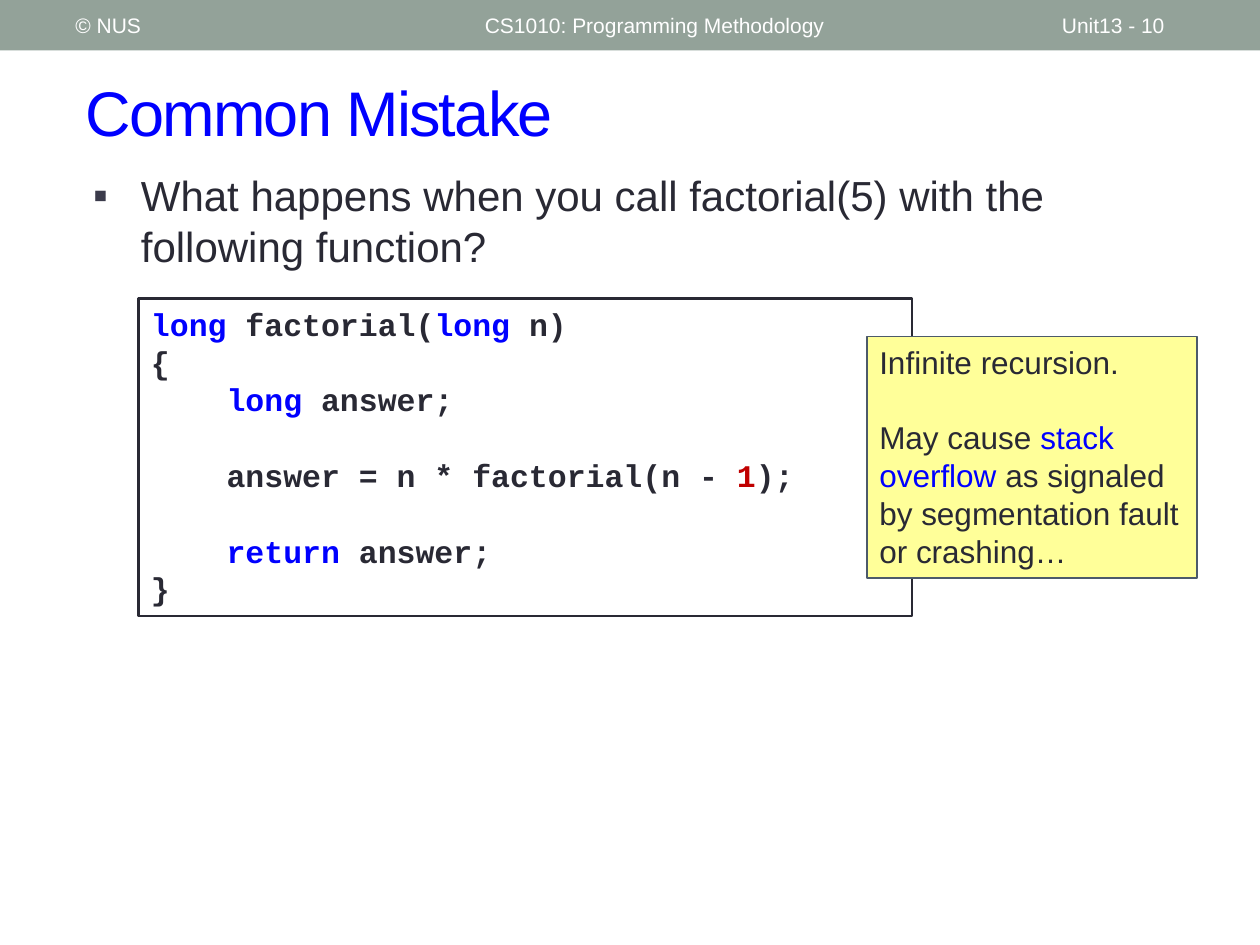
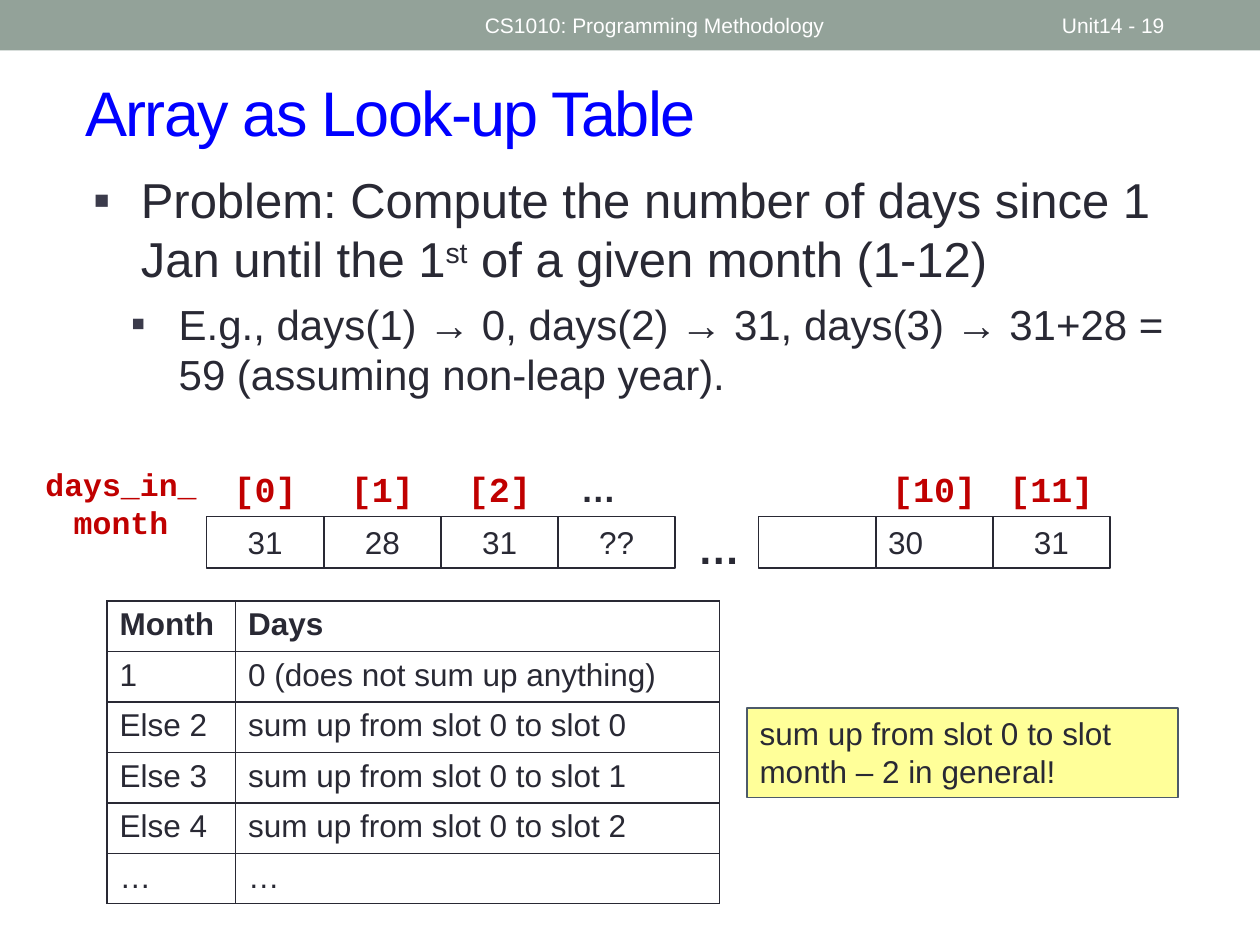
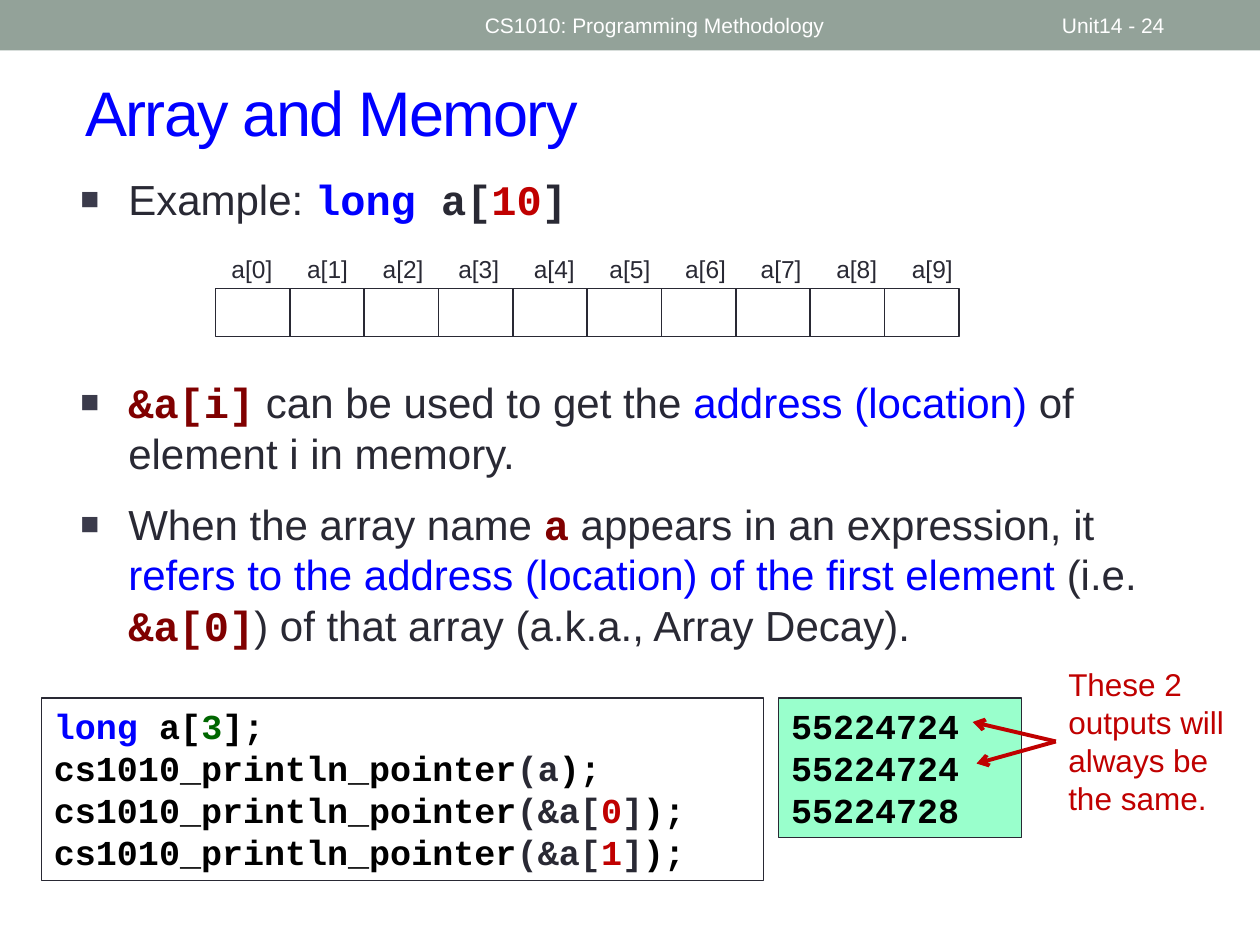
from lxml.etree import SubElement
from pptx import Presentation
from pptx.dml.color import RGBColor
from pptx.enum.shapes import MSO_CONNECTOR, MSO_SHAPE
from pptx.enum.text import MSO_ANCHOR, PP_ALIGN
from pptx.oxml.ns import qn
from pptx.util import Inches, Pt

COLORS = {
    "band": "93A299", "title": "0000FF", "text": "292934", "bullet": "3B3B4B",
    "white": "FFFFFF", "black": "000000", "red": "C00000", "maroon": "800000",
    "green": "006600", "note": "FFFF99", "note_line": "4C5A6A", "output": "99FFCC",
}
SANS, MONO = "Arial", "Courier New"
LINE_HEIGHT = 1.2
CODE = {"font": MONO, "bold": True}

KEYWORD = {"color": "title"}
NUMBER = {"color": "red"}
DARK = {"color": "text"}
ADDRESS = {**CODE, "color": "maroon"}


def rgb(name):
    return RGBColor.from_string(COLORS[name])


def add_solid_fill(parent, color):
    fill = SubElement(parent, qn("a:solidFill"))
    SubElement(fill, qn("a:srgbClr"), val=COLORS[color])


def format_run(run, size=18, font=SANS, color="text", bold=False, spacing=0, raised=0):
    """Spacing is in points, raised in percent of the text size."""
    run.font.size = Pt(size)
    run.font.name = font
    run.font.bold = bold
    run.font.color.rgb = rgb(color)
    properties = run._r.get_or_add_rPr()
    if spacing:
        properties.set("spc", str(spacing * 100))
    if raised:
        properties.set("baseline", str(raised * 1000))


def add_bullet(paragraph, mark, percent, indent):
    properties = paragraph._p.get_or_add_pPr()
    properties.set("marL", str(Inches(indent)))
    properties.set("indent", str(-Inches(0.38)))
    color = SubElement(properties, qn("a:buClr"))
    SubElement(color, qn("a:srgbClr"), val=COLORS["bullet"])
    SubElement(properties, qn("a:buSzPct"), val=str(percent * 1000))
    SubElement(properties, qn("a:buFont"), typeface=SANS)
    SubElement(properties, qn("a:buChar"), char=mark)


def write(frame, lines, align=PP_ALIGN.LEFT, gap=0, mark=None, percent=100,
          indents=None, **style):
    """A line is a string or a list of strings and (string, style) pairs.

    An empty line becomes one line of space before the next paragraph.
    """
    space = 0
    paragraph = None
    for index, line in enumerate(lines):
        if not line:
            space = style.get("size", 18) * LINE_HEIGHT
            continue
        if paragraph is None:
            paragraph = frame.paragraphs[0]
        else:
            paragraph = frame.add_paragraph()
            paragraph.space_before = Pt(space or gap)
        space = 0
        paragraph.alignment = align
        if mark:
            add_bullet(paragraph, mark, percent, indents[index] if indents else 0.38)
        for part in [line] if isinstance(line, str) else line:
            text, change = (part, {}) if isinstance(part, str) else part
            run = paragraph.add_run()
            run.text = text
            format_run(run, **{**style, **change})


class Deck:
    def __init__(self):
        self.presentation = Presentation()
        self.presentation.slide_width = Inches(10)
        self.presentation.slide_height = Inches(7.5)
        self.slide = None

    def start(self, title, number, owner=None):
        """Begin a slide with its band, header texts and title."""
        layout = self.presentation.slide_layouts[6]
        self.slide = self.presentation.slides.add_slide(layout)
        self.box(0, 0, 10, 0.4, fill="band")
        headers = [(0.5, 3.17, owner), (3.75, 4.5, "CS1010: Programming Methodology"),
                   (8.33, 1.17, number)]
        for left, width, header in headers:
            if header:
                self.text(left, 0.02, width, 0.36, [header], anchor=MSO_ANCHOR.MIDDLE,
                          size=12, color="white")
        self.text(0.58, 0.42, 9.17, 0.92, [title], anchor=MSO_ANCHOR.MIDDLE,
                  size=36, color="title", spacing=-1)

    def text(self, left, top, width, height, lines, anchor=MSO_ANCHOR.TOP, **style):
        area = self.slide.shapes.add_textbox(
            Inches(left), Inches(top), Inches(width), Inches(height))
        area.text_frame.word_wrap = True
        area.text_frame.vertical_anchor = anchor
        write(area.text_frame, lines, **style)
        return area

    def box(self, left, top, width, height, lines=(), fill=None, line=None,
            weight=1, **style):
        box = self.slide.shapes.add_shape(
            MSO_SHAPE.RECTANGLE, Inches(left), Inches(top), Inches(width), Inches(height))
        box.shadow.inherit = False
        if fill:
            box.fill.solid()
            box.fill.fore_color.rgb = rgb(fill)
        else:
            box.fill.background()
        if line:
            box.line.color.rgb = rgb(line)
            box.line.width = Pt(weight)
        else:
            box.line.fill.background()
        box.text_frame.word_wrap = True
        box.text_frame.vertical_anchor = MSO_ANCHOR.TOP
        write(box.text_frame, lines, **style)

    def note(self, left, top, width, height, lines):
        self.box(left, top, width, height, lines, fill="note", line="note_line")

    def table(self, left, top, widths, row_height, rows):
        frame = self.slide.shapes.add_table(
            len(rows), len(widths), Inches(left), Inches(top),
            Inches(sum(widths)), Inches(row_height * len(rows)))
        table = frame.table
        table.first_row = table.horz_banding = False
        for column, width in zip(table.columns, widths):
            column.width = Inches(width)
        for row_index, row in enumerate(rows):
            for column_index, value in enumerate(row):
                cell = table.cell(row_index, column_index)
                write(cell.text_frame, [value], bold=row_index == 0)
                properties = cell._tc.get_or_add_tcPr()
                for side in ("lnL", "lnR", "lnT", "lnB"):
                    border = SubElement(properties, qn(f"a:{side}"), w=str(Pt(1)))
                    add_solid_fill(border, "text")
                cell.fill.solid()
                cell.fill.fore_color.rgb = rgb("white")

    def arrow_from_left_side(self, source, x, y):
        arrow = self.slide.shapes.add_connector(
            MSO_CONNECTOR.STRAIGHT, source.left, source.top + source.height // 2,
            Inches(x), Inches(y))
        arrow.begin_connect(source, 1)
        arrow.line.color.rgb = rgb("red")
        arrow.line.width = Pt(2.25)
        SubElement(arrow.line._get_or_add_ln(), qn("a:tailEnd"), type="arrow")
        SubElement(arrow._element.spPr, qn("a:effectLst"))


def common_mistake(deck):
    deck.start("Common Mistake", "Unit13 - 10", owner="© NUS")
    deck.text(0.64, 1.3, 9.07, 5.96, [
        "What happens when you call factorial(5) with the following function?",
    ], mark="▪", size=24)
    deck.box(1.1, 2.37, 6.14, 2.52, [
        [("long", KEYWORD), " factorial(", ("long", KEYWORD), " n)"],
        "{",
        ["    ", ("long", KEYWORD), " answer;"],
        "",
        ["    answer = n * factorial(n - ", ("1", NUMBER), ");"],
        "",
        ["    ", ("return", KEYWORD), " answer;"],
        "}",
    ], fill="white", line="text", weight=1.5, **CODE)
    deck.note(6.88, 2.67, 2.62, 1.92, [
        "Infinite recursion.",
        "",
        ["May cause ", ("stack overflow", KEYWORD),
         " as signaled by segmentation fault or crashing…"],
    ])


def look_up_table(deck):
    deck.start("Array as Look-up Table", "Unit14 - 19")
    deck.text(0.64, 1.3, 9.07, 2.2, [
        ["Problem: Compute the number of days since 1 Jan until the 1",
         ("st", {"raised": 30}), " of a given month (1-12)"],
        [("E.g., days(1) → 0, days(2) → 31, days(3) → 31+28 = 59 "
          "(assuming non-leap year).", {"size": 24})],
    ], mark="▪", indents=(0.38, 0.68), gap=6, size=28)

    center = PP_ALIGN.CENTER
    cell_width, label_width = 0.93, 1.11
    array_parts = [
        (1.64, [("[0]", "31"), ("[1]", "28"), ("[2]", "31"), (None, "??")]),
        (6.02, [(None, None), ("[10]", "30"), ("[11]", "31")]),
    ]
    for start, slots in array_parts:
        for index, (label, days) in enumerate(slots):
            left = start + index * cell_width
            align = PP_ALIGN.LEFT if label == "[10]" else center
            deck.box(left, 4.1, cell_width, 0.41, [days], line="text", align=align)
            if label:
                deck.text(left - (label_width - cell_width) / 2, 3.66, label_width, 0.44,
                          [label], align=center, size=20, color="red", **CODE)
    deck.text(4.48, 3.66, 0.54, 0.44, ["…"], align=center, size=20, bold=True)
    deck.text(5.41, 4.1, 0.59, 0.39, ["…"], align=center, size=24, bold=True)
    deck.text(0.22, 3.64, 1.48, 0.71, ["days_in_month"], align=center, color="red", **CODE)

    sums = [(f"Else {month}", f"sum up from slot 0 to slot {month - 2}")
            for month in range(2, 5)]
    deck.table(0.85, 4.77, (1.02, 3.84), 0.4, [
        ("Month", "Days"), ("1", "0 (does not sum up anything)"), *sums, ("…", "…")])
    deck.note(5.93, 5.62, 3.42, 0.71, ["sum up from slot 0 to slot month – 2 in general!"])


def array_and_memory(deck):
    deck.start("Array and Memory", "Unit14 - 24")
    bullets = {"mark": "■", "percent": 75, "size": 24, "gap": 12}
    deck.text(0.54, 1.33, 8.89, 0.73, [
        ["Example: ", ("long ", {**CODE, **KEYWORD}), ("a[", CODE),
         ("10", {**CODE, **NUMBER}), ("]", CODE)],
    ], **bullets)
    deck.text(0.54, 2.94, 8.89, 2.3, [
        [("&a[i]", ADDRESS), " can be used to get the ", ("address (location)", KEYWORD),
         " of element i in memory."],
        ["When the array name ", ("a", ADDRESS), " appears in an expression, it ",
         ("refers to the address (location) of the first element ", KEYWORD),
         "(i.e. ", ("&a[0]", ADDRESS), ") of that array (a.k.a., Array Decay)."],
    ], **bullets)

    for index in range(10):
        deck.text(1.6 + 0.6 * index, 1.97, 0.8, 0.34, [f"a[{index}]"],
                  align=PP_ALIGN.CENTER, size=14)
        deck.box(1.71 + 0.59 * index, 2.29, 0.59, 0.38, line="text")

    def print_address(index):
        return ["cs1010_println_pointer", ("(&a[", DARK), (index, NUMBER), ("]", DARK), ");"]

    listing = {"line": "text", "weight": 0.75, "size": 20, "color": "black", **CODE}
    deck.box(0.33, 5.54, 5.73, 1.45, [
        [("long", KEYWORD), " a[", ("3", {"color": "green"}), "];"],
        ["cs1010_println_pointer", ("(a", DARK), ");"],
        print_address("0"),
        print_address("1"),
    ], fill="white", **listing)
    deck.box(6.18, 5.54, 1.93, 1.11, ["55224724", "55224724", "55224728"],
             fill="output", **listing)
    remark = deck.text(8.38, 5.23, 1.45, 1.31, ["These 2 outputs will always be the same."],
                       color="red")
    for x, y in ((7.72, 5.73), (7.75, 6.06)):
        deck.arrow_from_left_side(remark, x, y)


def main():
    deck = Deck()
    common_mistake(deck)
    look_up_table(deck)
    array_and_memory(deck)
    deck.presentation.save("out.pptx")


if __name__ == "__main__":
    main()
